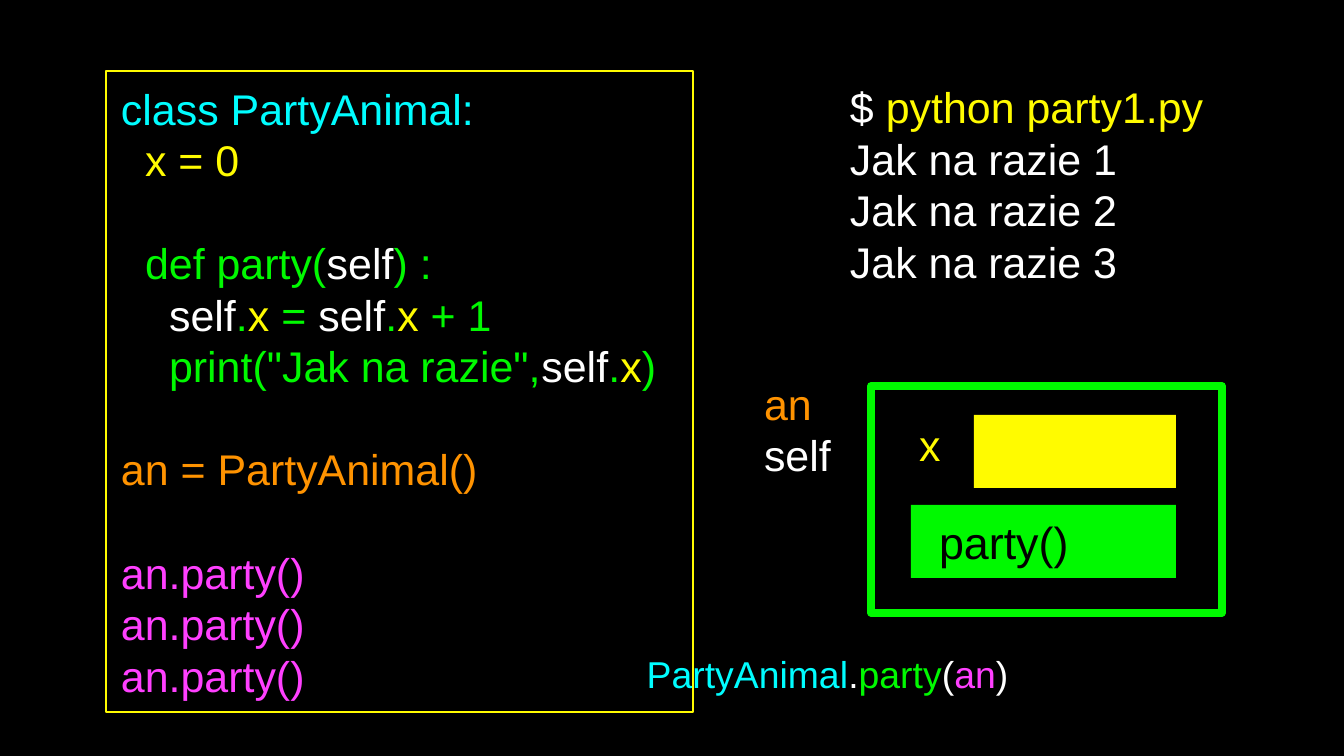
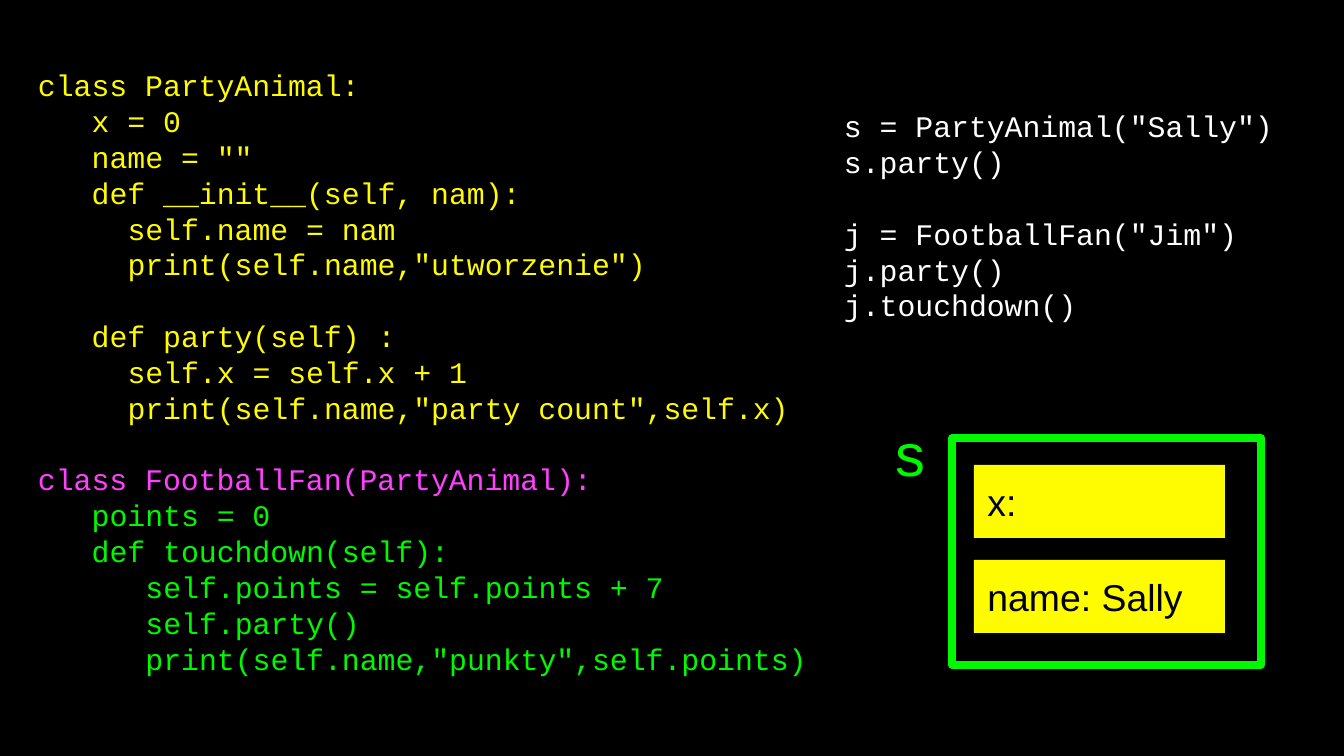
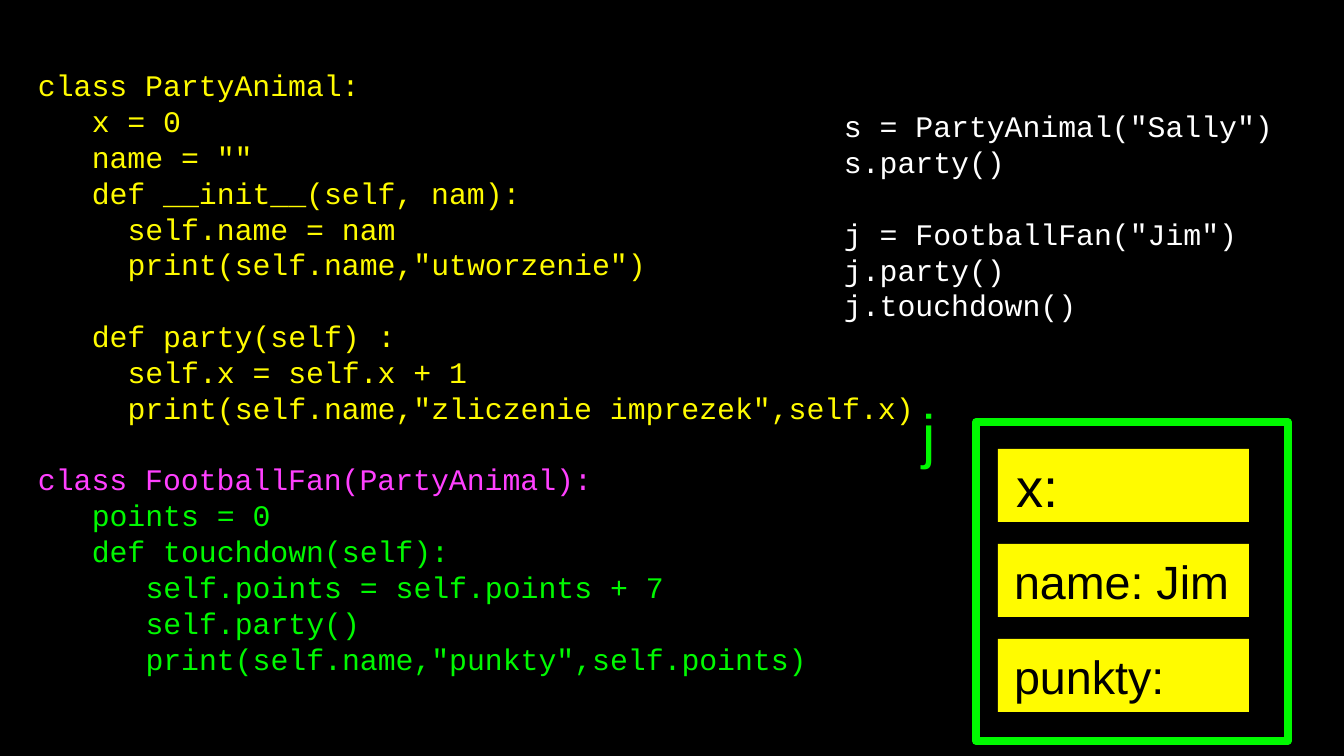
from pptx import Presentation
from pptx import util as u
from pptx.dml.color import RGBColor
from pptx.enum import shapes, text

BLACK = RGBColor(0x00, 0x00, 0x00)
WHITE = RGBColor(0xFF, 0xFF, 0xFF)
YELLOW = RGBColor(0xFF, 0xFB, 0x00)
GREEN = RGBColor(0x00, 0xF9, 0x00)
CYAN = RGBColor(0x00, 0xFD, 0xFF)
ORANGE = RGBColor(0xFF, 0x93, 0x00)
MAGENTA = RGBColor(0xFF, 0x40, 0xFF)

SANS, MONO = "Arial", "Courier New"
SPACE_WIDTH = {SANS: 0.28, MONO: 0.6}  # in ems
LINE_HEIGHT = 1.2  # in ems
PX = 914400 / 134.4
INSET = 3
MONO_DROP = 6  # extra top inset of the listings in the code font
FIELD_W, FIELD_H, FIELD_STEP = 251, 73, 95
FIELD_OFFSET = (22, 27)

# A line is a list of (text, colour) runs; an empty line leaves a gap.
SELF_X = [("self", WHITE), (".", GREEN), ("x", YELLOW)]
PARTY_CODE = [
    [("class PartyAnimal:", CYAN)],
    [("  x = 0", YELLOW)],
    [],
    [("  def party(", GREEN), ("self", WHITE), (") :", GREEN)],
    [("    ", GREEN), *SELF_X, (" = ", GREEN), *SELF_X, (" + 1", GREEN)],
    [('    print("Jak na razie",', GREEN), *SELF_X, (")", GREEN)],
    [],
    [("an = PartyAnimal()", ORANGE)],
    [],
    *[[("an.party()", MAGENTA)]] * 3,
]
PARTY_OUTPUT = [[("$ ", WHITE), ("python party1.py", YELLOW)]] + [
    [(f"Jak na razie {n}", WHITE)] for n in (1, 2, 3)]
PARTY_CALL = [[("PartyAnimal", CYAN), (".", WHITE), ("party", GREEN),
               ("(", WHITE), ("an", MAGENTA), (")", WHITE)]]

BASE_CLASS = """class PartyAnimal:
   x = 0
   name = ""
   def __init__(self, nam):
     self.name = nam
     print(self.name,"utworzenie")

   def party(self) :
     self.x = self.x + 1
     print(self.name,"{count_label}",self.x)
"""
SUBCLASS_HEAD = "class FootballFan(PartyAnimal):"
SUBCLASS_BODY = """   points = 0
   def touchdown(self):
      self.points = self.points + 7
      self.party()
      print(self.name,"punkty",self.points)"""
CALLS = """s = PartyAnimal("Sally")
s.party()

j = FootballFan("Jim")
j.party()
j.touchdown()"""

INHERITANCE_SLIDES = [
    dict(count_label="party count", code_w=786, frame=(952, 438, 309, 227),
         label="s", label_box=(883, 410, 51, 86),
         fields=[("x:", 20), ("name: Sally", 20)]),
    dict(count_label="zliczenie imprezek", code_w=898, frame=(976, 422, 312, 319),
         label="j", label_box=(910, 391, 51, 86),
         fields=[("x:", 29), ("name: Jim", 25), ("punkty:", 25)]),
]


def px(n):
    return u.Emu(round(n * PX))


def colored(source, color):
    return [[(line, color)] if line else [] for line in source.split("\n")]


def write(sp, lines, size, font=SANS, align=text.PP_ALIGN.LEFT, margin=0,
          anchor=text.MSO_ANCHOR.MIDDLE, insets=(INSET,) * 4):
    """Fill a shape with lines; leading spaces become indents, margin counts in spaces."""
    tf = sp.text_frame
    tf.word_wrap = True
    tf.vertical_anchor = anchor
    tf.margin_left, tf.margin_top, tf.margin_right, tf.margin_bottom = map(px, insets)
    leading = u.Pt(size * LINE_HEIGHT)
    p, gap = None, 0
    for line in lines:
        if not line:
            gap += leading
            continue
        p = tf.add_paragraph() if p else tf.paragraphs[0]
        p.alignment = align
        p.line_spacing = leading
        p.space_before, gap = u.Emu(gap), 0
        p.font.size, p.font.name = u.Pt(size), font
        first = line[0][0]
        spaces = margin + len(first) - len(first.lstrip())
        if spaces:
            indent = u.Pt(spaces * SPACE_WIDTH[font] * size)
            p._p.get_or_add_pPr().set("marL", str(int(indent)))
        for i, (words, color) in enumerate(line):
            words = words if i else words.lstrip()
            if words:
                r = p.add_run()
                r.text = words
                r.font.color.rgb = color


def add_text(s, box, lines, size, **style):
    write(s.shapes.add_textbox(*map(px, box)), lines, size, **style)


def add_box(s, box, fill=None, line=None, weight=0):
    sp = s.shapes.add_shape(shapes.MSO_SHAPE.RECTANGLE, *map(px, box))
    sp.shadow.inherit = False
    if fill is None:
        sp.fill.background()
    else:
        sp.fill.solid()
        sp.fill.fore_color.rgb = fill
    if line is None:
        sp.line.fill.background()
    else:
        sp.line.color.rgb = line
        sp.line.width = u.Pt(weight)
    return sp


def add_object_frame(s, box):
    add_box(s, box, line=GREEN, weight=4)


def add_listing(s, box, lines):
    add_text(s, box, lines, 16, font=MONO,
             insets=(INSET, INSET + MONO_DROP, INSET, INSET))


def party_slide(s):
    center = text.PP_ALIGN.CENTER
    add_object_frame(s, (871, 386, 351, 227))
    add_box(s, (974, 415, 202, 73), fill=YELLOW)
    method = add_box(s, (911, 505, 265, 73), fill=GREEN)
    write(method, [[("party()", BLACK)]], 24, margin=2)
    add_text(s, (761, 368, 81, 122), [[("an ", ORANGE), ("self", WHITE)]], 23)
    add_text(s, (902, 419, 56, 51), [[("x", YELLOW)]], 23, align=center)
    add_text(s, (847, 89, 454, 190), PARTY_OUTPUT, 23)
    add_text(s, (625, 646, 405, 55), PARTY_CALL, 20, align=center)
    code = add_box(s, (106, 71, 587, 641), line=YELLOW, weight=1)
    write(code, PARTY_CODE, 23, margin=1)


def inheritance_slide(s, count_label, code_w, frame, label, label_box, fields):
    code = (colored(BASE_CLASS.format(count_label=count_label), YELLOW)
            + colored(SUBCLASS_HEAD, MAGENTA) + colored(SUBCLASS_BODY, GREEN))
    add_listing(s, (35, 23, code_w, 691), code)
    add_listing(s, (841, 89, 478, 247), colored(CALLS, WHITE))
    add_object_frame(s, frame)
    left, top = frame[0] + FIELD_OFFSET[0], frame[1] + FIELD_OFFSET[1]
    for i, (words, size) in enumerate(fields):
        field = add_box(s, (left, top + i * FIELD_STEP, FIELD_W, FIELD_H), fill=YELLOW)
        write(field, [[(words, BLACK)]], size, margin=1)
    add_text(s, label_box, [[(label, GREEN)]], 32,
             anchor=text.MSO_ANCHOR.TOP, insets=(13, 7, 13, 7))


def main():
    prs = Presentation()
    prs.slide_width, prs.slide_height = px(1344), px(756)
    background = prs.slide_master.background.fill
    background.solid()
    background.fore_color.rgb = BLACK
    blank = prs.slide_layouts[6]
    party_slide(prs.slides.add_slide(blank))
    for content in INHERITANCE_SLIDES:
        inheritance_slide(prs.slides.add_slide(blank), **content)
    prs.save("out.pptx")


if __name__ == "__main__":
    main()
